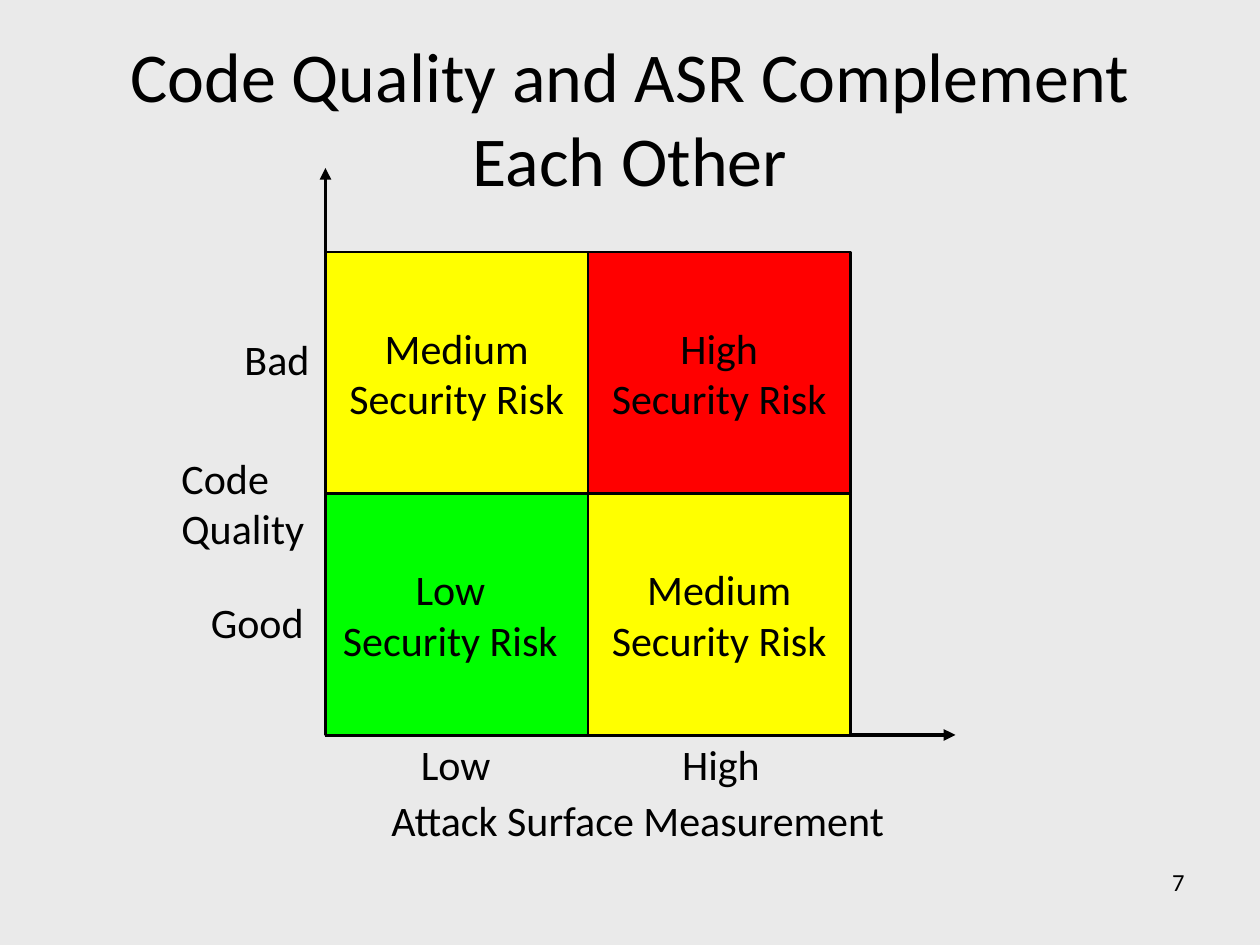
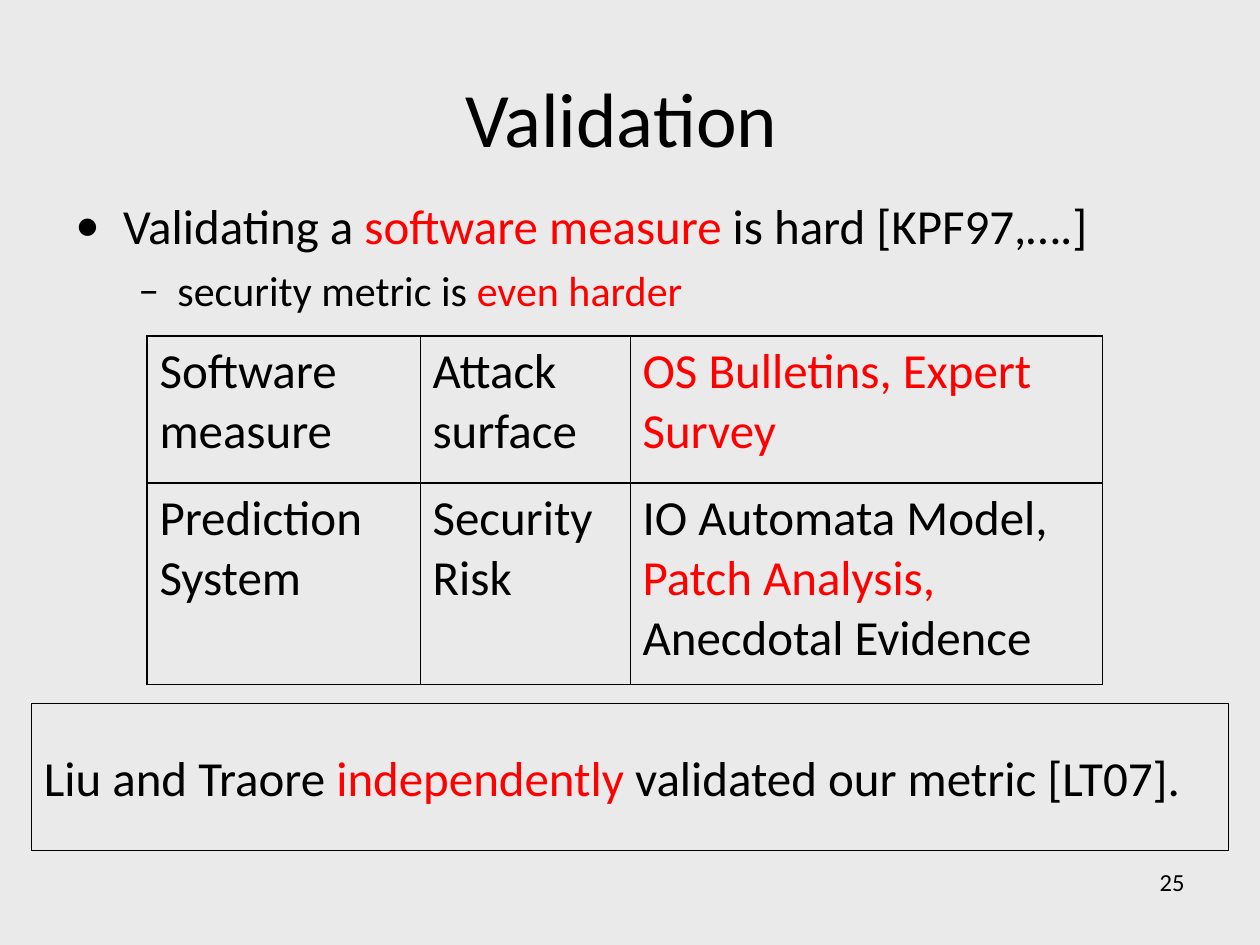
from lxml import etree
from pptx import Presentation
from pptx.dml.color import RGBColor
from pptx.enum.shapes import MSO_CONNECTOR, MSO_SHAPE
from pptx.enum.text import MSO_ANCHOR, PP_ALIGN
from pptx.oxml.ns import qn
from pptx.util import Inches, Pt

LEFT, CENTER, RIGHT = PP_ALIGN.LEFT, PP_ALIGN.CENTER, PP_ALIGN.RIGHT
TOP, MIDDLE = MSO_ANCHOR.TOP, MSO_ANCHOR.MIDDLE
RECTANGLE, STRAIGHT = MSO_SHAPE.RECTANGLE, MSO_CONNECTOR.STRAIGHT

COLORS = {
    "background": "EAEAEA",
    "ink": "000000",
    "accent": "FF0000",
    "low": "00FF00",
    "medium": "FFFF00",
    "high": "FF0000",
}
FONT = "Calibri"
WIDTH, HEIGHT = 10, 7.5
CELLS_PER_INCH = 12
OUTER_BORDER, INNER_BORDER = 1.08, 0.45


def color(name):
    return RGBColor.from_string(COLORS[name])


def grid(*cells):
    return [Inches(cell / CELLS_PER_INCH) for cell in cells]


def add_bullet(paragraph, symbol, indent, hanging):
    properties = paragraph._p.get_or_add_pPr()
    properties.set("marL", str(Inches(indent)))
    properties.set("indent", str(-Inches(hanging)))
    etree.SubElement(properties, qn("a:buFont"), typeface=FONT)
    etree.SubElement(properties, qn("a:buChar"), char=symbol)


def write(frame, text, size=24, align=LEFT, anchor=TOP, bullets=(), sizes=(), space_before=0):
    frame.word_wrap = True
    frame.vertical_anchor = anchor
    for index, line in enumerate(text.split("\n")):
        paragraph = frame.paragraphs[0] if index == 0 else frame.add_paragraph()
        if bullets:
            add_bullet(paragraph, *bullets[index])
        paragraph.alignment = align
        if index and space_before:
            paragraph.space_before = Pt(space_before)
        for part, words in enumerate(line.split("*")):
            if words:
                run = paragraph.add_run()
                run.text = words
                run.font.name = FONT
                run.font.size = Pt(sizes[index] if sizes else size)
                run.font.color.rgb = color("accent" if part % 2 else "ink")


class Deck:
    def __init__(self):
        self.presentation = Presentation()
        self.presentation.slide_width = Inches(WIDTH)
        self.presentation.slide_height = Inches(HEIGHT)
        self.slide = None

    def start_slide(self, title, number, title_size):
        self.slide = self.presentation.slides.add_slide(self.presentation.slide_layouts[6])
        fill = self.slide.background.fill
        fill.solid()
        fill.fore_color.rgb = color("background")
        self.text(number, 86, 82, 28, 6.2, size=14, align=RIGHT)
        self.text(title, 6, 3.6, 108, 15, size=title_size, align=CENTER, anchor=MIDDLE)

    def text(self, text, left, top, width, height, **style):
        box = self.slide.shapes.add_textbox(*grid(left, top, width, height))
        write(box.text_frame, text, **style)

    def box(self, text, left, top, width, height, fill, line_width, right_inset=0.1, **style):
        shape = self.slide.shapes.add_shape(RECTANGLE, *grid(left, top, width, height))
        shape.shadow.inherit = False
        shape.fill.solid()
        shape.fill.fore_color.rgb = color(fill)
        shape.line.color.rgb = color("ink")
        shape.line.width = Pt(line_width)
        shape.text_frame.margin_right = Inches(right_inset)
        write(shape.text_frame, text, anchor=MIDDLE, **style)

    def arrow(self, *ends):
        connector = self.slide.shapes.add_connector(STRAIGHT, *grid(*ends))
        connector.line.color.rgb = color("ink")
        connector.line.width = Pt(2.25)
        etree.SubElement(connector.get_or_add_ln(), qn("a:tailEnd"), type="triangle")
        etree.SubElement(connector._element.spPr, qn("a:effectLst"))

    def table(self, texts, left, top, columns, height):
        frame = self.slide.shapes.add_table(
            1, len(columns), *grid(left, top, sum(columns), height))
        table = frame.table
        table.first_row = table.horz_banding = False
        last = len(columns) - 1
        for index, (text, width) in enumerate(zip(texts, columns)):
            table.columns[index].width = grid(width)[0]
            cell = table.cell(0, index)
            cell.fill.background()
            write(cell.text_frame, text, size=28)
            self.borders(cell, {
                "L": INNER_BORDER if index else OUTER_BORDER,
                "R": INNER_BORDER if index < last else OUTER_BORDER,
                "T": OUTER_BORDER,
                "B": OUTER_BORDER,
            })

    def borders(self, cell, widths):
        properties = cell._tc.get_or_add_tcPr()
        for position, (side, width) in enumerate(widths.items()):
            line = etree.Element(qn(f"a:ln{side}"), w=str(Pt(width)))
            fill = etree.SubElement(line, qn("a:solidFill"))
            etree.SubElement(fill, qn("a:srgbClr"), val=COLORS["ink"])
            properties.insert(position, line)


def build_risk_matrix(deck):
    deck.start_slide("Code Quality and ASR Complement Each Other", "7", 40)
    left, top, width, height = 31, 24, 25, 23
    bottom = top + 2 * height
    deck.arrow(left, bottom, 91, bottom)
    deck.arrow(left, bottom, left, 16)
    risks = [["Medium", "High"], ["Low", "Medium"]]
    for row, levels in enumerate(risks):
        for column, level in enumerate(levels):
            deck.box(f"{level}\nSecurity Risk", left + column * width, top + row * height,
                     width, height, level.lower(), 1.5, align=CENTER,
                     right_inset=0.2 if level == "Low" else 0.1)
    labels = [
        ("Attack Surface Measurement", 36.1, 75.1, 52, 6),
        ("Low", 38.9, 69.7, 10, 6),
        ("High", 63.8, 69.7, 11, 6),
        ("Good", 18.9, 56.2, 12, 6),
        ("Bad", 22.1, 31.2, 9.5, 6),
        ("Code\nQuality", 16.1, 42.5, 15, 10.8),
    ]
    for label in labels:
        deck.text(*label)


def build_validation(deck):
    deck.start_slide("Validation ", "25", 44)
    deck.text("Validating a *software measure* is hard [KPF97,….]\n"
              "security metric is *even harder*", 6, 18, 109, 18, sizes=(28, 24),
              bullets=(("•", 0.38, 0.38), ("–", 0.81, 0.31)), space_before=6)
    columns = (26, 20, 45)
    deck.table(("Software measure", "Attack surface", "*OS Bulletins, Expert Survey*"),
               14, 32, columns, 14)
    deck.box("Liu and Traore *independently *validated our metric [LT07].",
             3, 67, 114, 14, "background", 0.75, size=28)
    deck.table(("Prediction System", "Security Risk",
                "IO Automata Model, *Patch Analysis, *Anecdotal Evidence"),
               14, 46, columns, 19.2)


def main():
    deck = Deck()
    build_risk_matrix(deck)
    build_validation(deck)
    deck.presentation.save("out.pptx")


if __name__ == "__main__":
    main()
